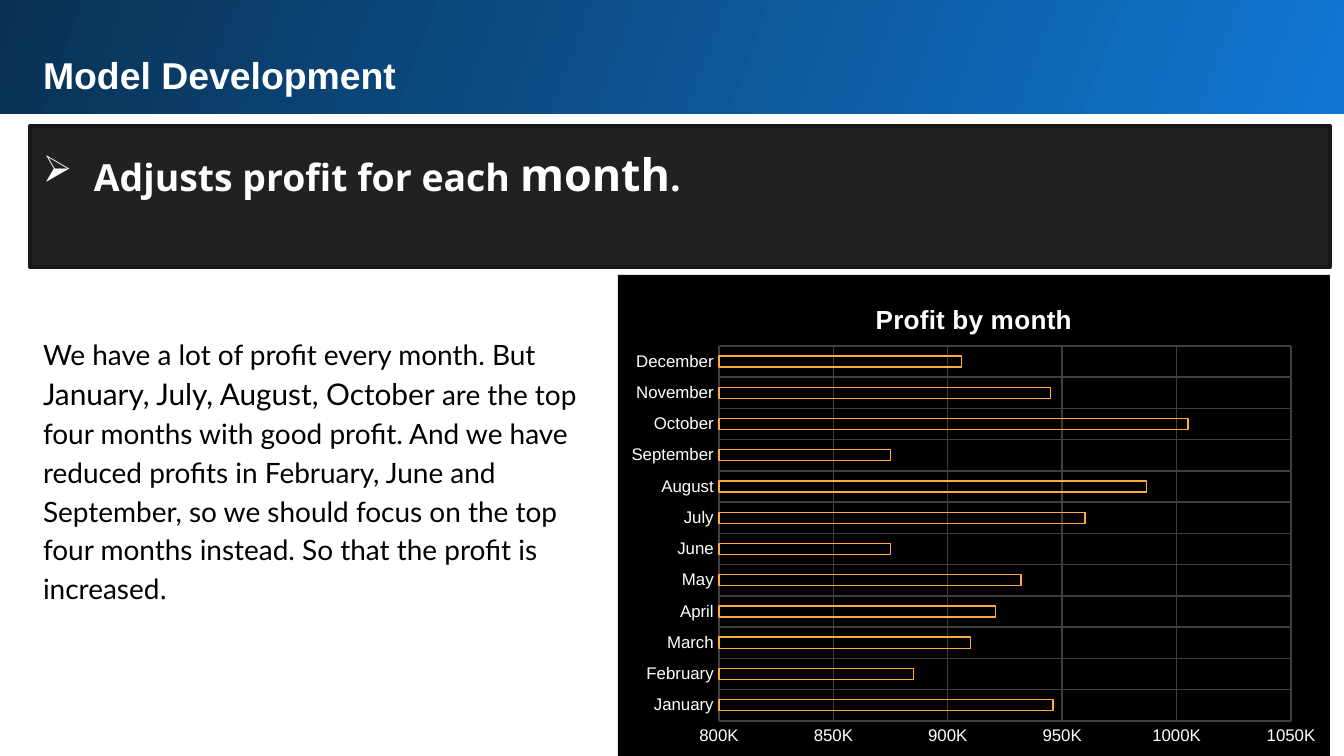
"""Builds the Model Development slide with a monthly profit chart."""
from dataclasses import dataclass
from typing import NamedTuple

from lxml import etree
from pptx import Presentation
from pptx.chart.data import CategoryChartData
from pptx.dml.color import RGBColor
from pptx.enum.chart import XL_CHART_TYPE, XL_TICK_MARK
from pptx.enum.shapes import MSO_SHAPE
from pptx.enum.text import MSO_ANCHOR, PP_ALIGN
from pptx.oxml import parse_xml
from pptx.oxml.ns import nsdecls, qn
from pptx.util import Emu, Pt

PX_PER_INCH = 134.4


class Box(NamedTuple):
    left: int
    top: int
    width: int
    height: int


class Run(NamedTuple):
    text: str
    size: int
    font: str


class Month(NamedTuple):
    name: str
    profit: int


@dataclass(frozen=True)
class Theme:
    white: str = "FFFFFF"
    black: str = "000000"
    banner: str = "212121"
    banner_line: str = "181818"
    header_light: str = "1077D2"
    header_dark: str = "093153"
    grid: str = "404040"
    bar: str = "FFAB40"
    heading_font: str = "Arial"
    banner_font: str = "Open Sans"
    body_font: str = "Lato"
    heading: int = 20
    emphasis: int = 24
    body: int = 15
    body_emphasis: int = 16
    chart_title: int = 14
    axis: int = 9


THEME = Theme()
BANNER = Box(30, 126, 1300, 141)
HEADER = Box(-3, -9, 1351, 123)
TITLE = Box(30, 39, 1259, 69)
BODY = Box(30, 319, 566, 266)
CHART = Box(618, 275, 712, 481)
PLOT = Box(719, 346, 572, 375)
CHART_TITLE = Box(871, 298, 0, 0)

BANNER_RUNS = [
    Run("Adjusts profit for each ", THEME.heading, THEME.banner_font),
    Run("month", THEME.emphasis, THEME.banner_font),
    Run(".", THEME.heading, THEME.banner_font),
]
BODY_RUNS = [
    Run("We have a lot of profit every month. But ", THEME.body, THEME.body_font),
    Run("January, July, August, October ", THEME.body_emphasis, THEME.body_font),
    Run("are the top four months with good profit. And we have reduced profits in "
        "February, June and September, so we should focus on the top four months "
        "instead. So that the profit is increased", THEME.body, THEME.body_font),
    Run(".", THEME.body, THEME.banner_font),
]
MONTHS = [
    Month("January", 946000), Month("February", 885000), Month("March", 910000),
    Month("April", 921000), Month("May", 932000), Month("June", 875000),
    Month("July", 960000), Month("August", 987000), Month("September", 875000),
    Month("October", 1005000), Month("November", 945000), Month("December", 906000),
]


def px(length: float) -> Emu:
    return Emu(round(length * 914400 / PX_PER_INCH))


def place(box: Box) -> list[Emu]:
    return [px(length) for length in box]


def rgb(color: str) -> RGBColor:
    return RGBColor.from_string(color)


def set_font(font, name: str, size: int, color: str, bold: bool = False) -> None:
    font.name, font.size, font.bold = name, Pt(size), bold
    font.color.rgb = rgb(color)


def write(frame, runs: list[Run], color: str, bold: bool, spacing: float = 1.0):
    frame.word_wrap = True
    frame.vertical_anchor = MSO_ANCHOR.TOP
    frame.margin_left = frame.margin_right = px(13)
    frame.margin_top = frame.margin_bottom = px(13)
    paragraph = frame.paragraphs[0]
    paragraph.alignment = PP_ALIGN.LEFT
    paragraph.line_spacing = spacing
    for item in runs:
        run = paragraph.add_run()
        run.text = item.text
        set_font(run.font, item.font, item.size, color, bold)
    return paragraph


def add_rectangle(slide, box: Box):
    shape = slide.shapes.add_shape(MSO_SHAPE.RECTANGLE, *place(box))
    shape.shadow.inherit = False
    return shape


def add_banner(slide) -> None:
    banner = add_rectangle(slide, BANNER)
    banner.fill.solid()
    banner.fill.fore_color.rgb = rgb(THEME.banner)
    banner.line.color.rgb = rgb(THEME.banner_line)
    banner.line.width = Pt(2)
    paragraph = write(banner.text_frame, BANNER_RUNS, THEME.white, True, 1.15)
    properties = paragraph._p.get_or_add_pPr()
    properties.set("marL", str(px(51)))
    properties.set("indent", str(px(-51)))
    etree.SubElement(properties, qn("a:buChar")).set("char", "➢")


def add_header(slide) -> None:
    header = add_rectangle(slide, HEADER)
    header.line.fill.background()
    header.fill.gradient()
    header.fill.gradient_angle = 160
    stops = zip(header.fill.gradient_stops, (THEME.header_light, THEME.header_dark))
    for position, (stop, color) in enumerate(stops):
        stop.position = position
        stop.color.rgb = rgb(color)
    title = slide.shapes.title
    title.left, title.top, title.width, title.height = place(TITLE)
    write(title.text_frame, [Run("Model Development", THEME.heading, THEME.heading_font)],
          THEME.white, True)
    header.element.addnext(title.element)


def set_layout(parent, before: str, box: Box, inner: bool) -> None:
    values = {"x": (box.left - CHART.left) / CHART.width,
              "y": (box.top - CHART.top) / CHART.height}
    if inner:
        values |= {"w": box.width / CHART.width, "h": box.height / CHART.height}
    for old in parent.findall(qn("c:layout")):
        parent.remove(old)
    target = '<c:layoutTarget val="inner"/>' if inner else ""
    modes = "".join(f'<c:{key}Mode val="edge"/>' for key in "xy")
    sizes = "".join(f'<c:{key} val="{value:.4f}"/>' for key, value in values.items())
    parent.find(qn(before)).addprevious(parse_xml(
        f'<c:layout {nsdecls("c")}><c:manualLayout>{target}{modes}{sizes}'
        '</c:manualLayout></c:layout>'))


def style_axis(axis) -> None:
    axis.major_tick_mark = axis.minor_tick_mark = XL_TICK_MARK.NONE
    axis.format.line.fill.background()
    axis.has_major_gridlines = True
    axis.major_gridlines.format.line.color.rgb = rgb(THEME.grid)
    axis.major_gridlines.format.line.width = Pt(0.75)
    set_font(axis.tick_labels.font, THEME.heading_font, THEME.axis, THEME.white)


def add_profit_chart(slide) -> None:
    data = CategoryChartData()
    data.categories = [month.name for month in MONTHS]
    data.add_series("Series 1", [month.profit for month in MONTHS])
    chart = slide.shapes.add_chart(XL_CHART_TYPE.BAR_CLUSTERED, *place(CHART), data).chart
    set_font(chart.font, THEME.heading_font, 10, THEME.white)
    chart.has_legend = False
    chart.has_title = True
    run = chart.chart_title.text_frame.paragraphs[0].add_run()
    run.text = "Profit by month"
    set_font(run.font, THEME.heading_font, THEME.chart_title, THEME.white, True)
    for axis in (chart.category_axis, chart.value_axis):
        style_axis(axis)
    values = chart.value_axis
    values.minimum_scale, values.maximum_scale, values.major_unit = 800000, 1050000, 50000
    values.tick_labels.number_format = '0,"K"'
    values.tick_labels.number_format_is_linked = False
    plot = chart.plots[0]
    plot.gap_width, plot.overlap, plot.vary_by_categories = 182, -50, False
    bars = plot.series[0].format
    bars.fill.background()
    bars.line.color.rgb = rgb(THEME.bar)
    bars.line.width = Pt(0.75)
    root = chart.element
    set_layout(root.find(".//" + qn("c:plotArea")), "c:barChart", PLOT, True)
    set_layout(chart.chart_title._element, "c:overlay", CHART_TITLE, False)
    root.find(qn("c:chart")).addnext(parse_xml(
        f'<c:spPr {nsdecls("c", "a")}><a:solidFill><a:srgbClr val="{THEME.black}"/>'
        '</a:solidFill><a:ln><a:noFill/></a:ln></c:spPr>'))


def main() -> None:
    deck = Presentation()
    deck.slide_width, deck.slide_height = px(1344), px(756)
    slide = deck.slides.add_slide(deck.slide_layouts[5])
    add_banner(slide)
    add_header(slide)
    body = slide.shapes.add_textbox(*place(BODY))
    write(body.text_frame, BODY_RUNS, THEME.black, False, 1.15)
    add_profit_chart(slide)
    deck.save("out.pptx")


main()
